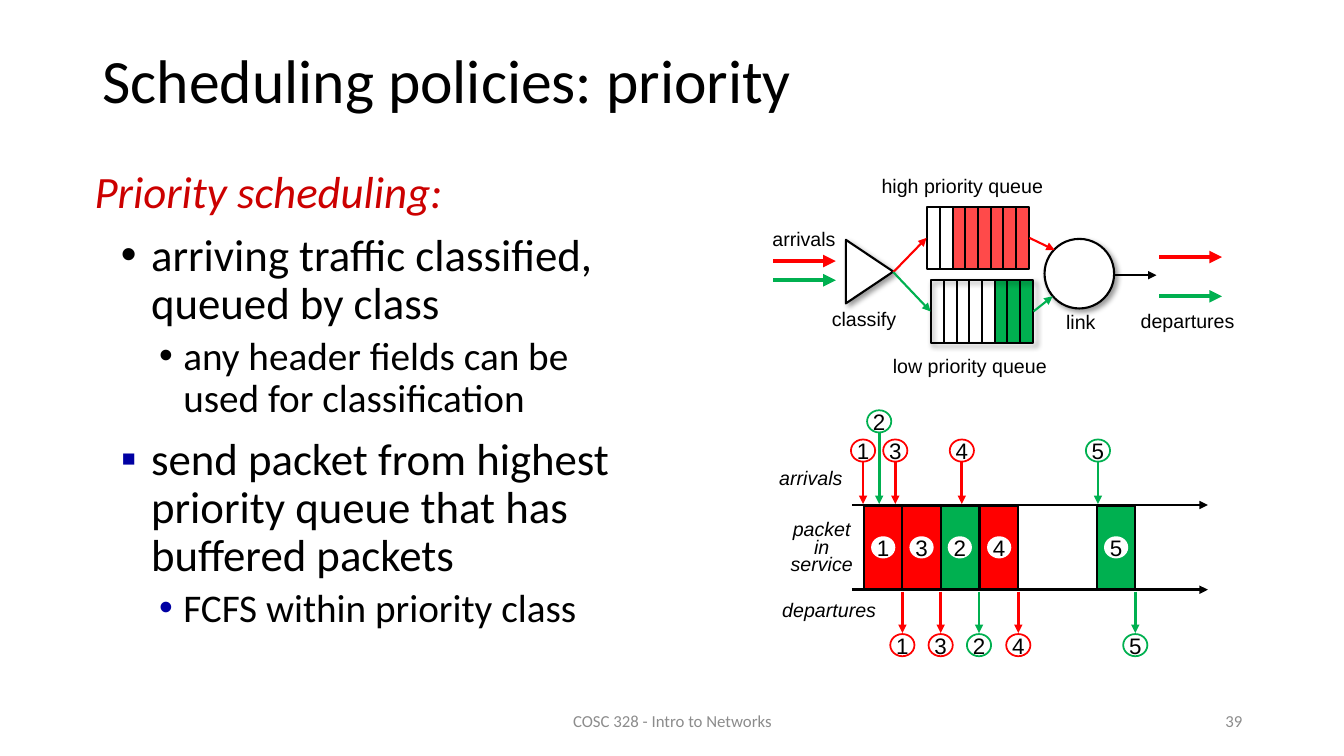
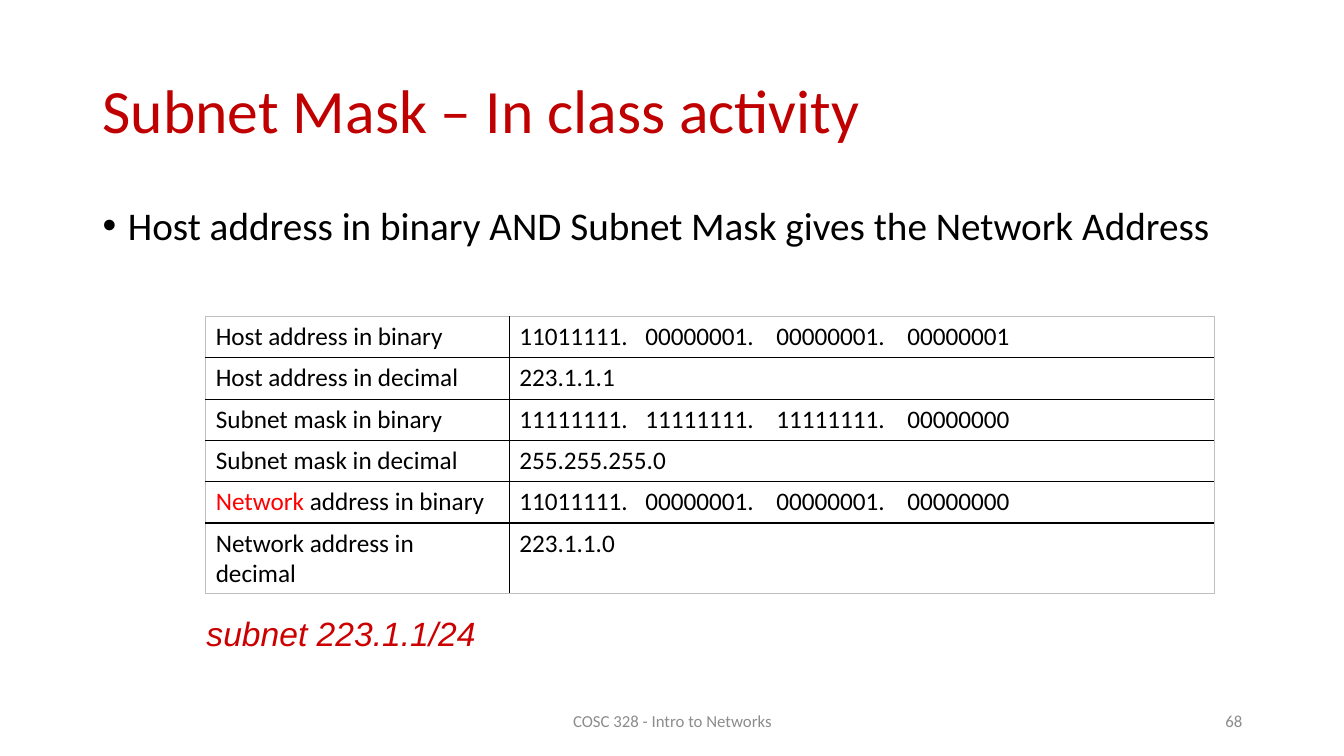
from dataclasses import dataclass

from lxml import etree
from pptx import Presentation
from pptx.dml.color import RGBColor
from pptx.enum.shapes import MSO_CONNECTOR, MSO_SHAPE
from pptx.enum.text import MSO_ANCHOR, PP_ALIGN
from pptx.oxml.ns import qn
from pptx.util import Pt

PX = 9144  # 100 px to the inch
STRAIGHT = MSO_CONNECTOR.STRAIGHT
RECTANGLE, OVAL, TRIANGLE = MSO_SHAPE.RECTANGLE, MSO_SHAPE.OVAL, MSO_SHAPE.ISOSCELES_TRIANGLE
CENTER, RIGHT, MIDDLE = PP_ALIGN.CENTER, PP_ALIGN.RIGHT, MSO_ANCHOR.MIDDLE
LEFT_SIDE, RIGHT_SIDE = 1, 3


@dataclass(frozen=True)
class Theme:
    black: str = "000000"
    white: str = "FFFFFF"
    red: str = "FF0000"
    green: str = "00B050"
    title_red: str = "C00000"
    accent: str = "CC0000"
    blue: str = "0000A3"
    gray: str = "8C8C8C"
    edge: str = "BFBFBF"
    heading: str = "Calibri"
    plain: str = "Arial"
    title_size: int = 44
    body_size: int = 32
    detail_size: int = 28
    note_size: int = 24
    cell_size: int = 18
    packet_size: int = 16
    label_size: int = 14
    footer_size: int = 12


theme = Theme()
body = {"name": theme.heading, "size": Pt(theme.body_size)}
detail = {"name": theme.heading, "size": Pt(theme.detail_size)}
label = {"name": theme.plain, "size": Pt(theme.label_size)}
italic_label = {**label, "italic": True}
centered = {"alignment": CENTER}
dense = {"line_spacing": 0.9}


def write(frame, paragraphs, color=theme.black, **frame_format):
    """Fill a text frame with (content, font format, paragraph format) items."""
    for name, value in {"word_wrap": True, **frame_format}.items():
        setattr(frame, name, value)
    for index, (content, font_format, layout) in enumerate(paragraphs):
        para = frame.add_paragraph() if index else frame.paragraphs[0]
        for name in ("alignment", "level", "line_spacing", "space_before"):
            if name in layout:
                setattr(para, name, layout[name])
        properties = para._p.get_or_add_pPr()
        if "indent" in layout:
            for name, value in zip(("marL", "indent"), layout["indent"]):
                properties.set(name, str(value * PX))
        if "bullet" in layout:
            bullet_color = etree.SubElement(properties, qn("a:buClr"))
            etree.SubElement(bullet_color, qn("a:srgbClr"), val=layout.get("bullet_color", theme.black))
            etree.SubElement(properties, qn("a:buFont"), typeface=theme.plain)
            etree.SubElement(properties, qn("a:buChar"), char=layout["bullet"])
        if "tabs" in layout:
            stops = etree.SubElement(properties, qn("a:tabLst"))
            for stop in layout["tabs"]:
                etree.SubElement(stops, qn("a:tab"), pos=str(stop * PX), algn="l")
        spans = [(content, color)] if isinstance(content, str) else content
        for text, span_color in spans:
            span = para.add_run()
            span.text = text
            for name, value in font_format.items():
                setattr(span.font, name, value)
            span.font.color.rgb = RGBColor.from_string(span_color)


def add_text(page, place, paragraphs, **options):
    box = page.shapes.add_textbox(*[value * PX for value in place])
    write(box.text_frame, paragraphs, **options)


deck = Presentation()
deck.slide_width, deck.slide_height = 1333 * PX, 750 * PX

# Titles and footers
pages = []
for title, color, place, number in [
    ("Scheduling policies: priority", theme.black, (92, 34, 1150, 98), "39"),
    ("Subnet Mask – In class activity", theme.title_red, (92, 40, 1150, 145), "68"),
]:
    page = deck.slides.add_slide(deck.slide_layouts[6])
    pages.append(page)
    title_font = {"name": theme.heading, "size": Pt(theme.title_size)}
    add_text(page, place, [(title, title_font, dense)], color=color, vertical_anchor=MIDDLE)
    footer_font = {"name": theme.heading, "size": Pt(theme.footer_size)}
    for text, spot, alignment in [
        ("COSC 328 - Intro to Networks", (442, 695, 450, 40), CENTER),
        (number, (942, 695, 300, 40), RIGHT),
    ]:
        add_text(page, spot, [(text, footer_font, {"alignment": alignment})],
                 color=theme.gray, vertical_anchor=MIDDLE)
scheduling, subnet = pages

# Scheduling: explanation
point = {**dense, "space_before": Pt(10), "indent": (56, -30), "bullet": "•"}
subpoint = {**dense, "space_before": Pt(5), "indent": (88, -24), "bullet": "•", "level": 1}
add_text(scheduling, (84, 164, 556, 293), [
    ([("Priority scheduling:", theme.accent)], {**body, "italic": True}, {**dense, "indent": (25, -25)}),
    ("arriving traffic classified, queued by class", body, point),
    ("any header fields can be used for classification", detail, subpoint),
])
first_point = {**dense, "indent": (56, -30), "bullet": "▪", "bullet_color": theme.blue}
add_text(scheduling, (84, 428, 556, 215), [
    ("send packet from highest priority queue that has buffered packets", body, first_point),
    ("FCFS within priority class", detail, {**subpoint, "bullet_color": theme.blue}),
])

# Scheduling: shapes as (name, kind, place, fill, line, line width, extras)
shapes = []
# Lines as (start, end, color, width, arrow, joined start, joined end)
lines = []

# Queues with eight slots each
SLOTS, QUEUE_WIDTH, QUEUE_HEIGHT = 8, 102, 62
for name, left, top, first_filled, color, extras, shadow in [
    ("low", 923, 278, 5, theme.green, {}, {"shadow": True}),
    ("high", 919, 205, 2, theme.red, {"alpha": 71}, {}),
]:
    edges = [left + round(QUEUE_WIDTH * slot / SLOTS) for slot in range(SLOTS)]
    filled_left = edges[first_filled]
    filled = (filled_left, top, left + QUEUE_WIDTH - filled_left, QUEUE_HEIGHT)
    shapes.append((f"{name} packets", RECTANGLE, filled, color, None, 0, extras))
    shapes.append((name, RECTANGLE, (left, top, QUEUE_WIDTH, QUEUE_HEIGHT), None, theme.black, 1.5, shadow))
    for x in edges[1:]:
        lines.append(((x, top), (x, top + QUEUE_HEIGHT), theme.black, 1.5, False, None, None))

# Classifier, link and their arrows
shapes += [
    ("classifier", TRIANGLE, (831, 246, 63, 47), theme.white, theme.black, 1.5,
     {"shadow": True, "rotation": 90}),
    ("link", OVAL, (1036, 237, 69, 69), theme.white, theme.black, 1.5, {"shadow": True}),
]
lines += [
    ((886, 270), (919, 236), theme.red, 1.5, True, None, ("high", LEFT_SIDE)),
    ((886, 270), (923, 309), theme.green, 1.5, True, None, ("low", LEFT_SIDE)),
    ((1021, 236), (1046, 248), theme.red, 1.5, True, ("high", RIGHT_SIDE), None),
    ((1025, 309), (1044, 294), theme.green, 1.5, True, ("low", RIGHT_SIDE), None),
    ((1105, 273), (1147, 273), theme.black, 1.5, True, None, None),
]
for left, red_y, green_y in [(767, 259, 278), (1150, 255, 294)]:
    for y, color in [(red_y, theme.red), (green_y, theme.green)]:
        lines.append(((left, y), (left + 62, y), color, 3, True, None, None))

# Timeline axes, packets in service and departures
ARRIVAL_Y, DEPARTURE_Y, PACKET_WIDTH = 501, 585, 38
BADGE_WIDTH, BADGE_HEIGHT, DEPARTED_TOP = 24, 22, 629
for y in (ARRIVAL_Y, DEPARTURE_Y):
    lines.append(((845, y), (1198, y), theme.black, 2, True, None, None))
badges = []  # (number, center x, top, line color)
for number, left, color in [
    ("1", 857, theme.red), ("3", 895, theme.red), ("2", 933, theme.green),
    ("4", 972, theme.red), ("5", 1088, theme.green),
]:
    right = left + PACKET_WIDTH
    shapes.append((f"packet {number}", RECTANGLE, (left, 502, PACKET_WIDTH, 83), color, theme.black, 1.25, {}))
    badges.append((number, left + PACKET_WIDTH // 2, 532, None))
    badges.append((number, right, DEPARTED_TOP, color))
    lines.append(((right, DEPARTURE_Y + 2), (right, DEPARTED_TOP - 1), color, 2, True, None, None))

# Arrivals
for number, x, top, color in [
    ("1", 856, 436, theme.red), ("3", 888, 436, theme.red), ("4", 954, 436, theme.red),
    ("2", 872, 407, theme.green), ("5", 1089, 436, theme.green),
]:
    badges.append((number, x, top, color))
    lines.append(((x, top + BADGE_HEIGHT), (x, ARRIVAL_Y - 1), color, 2, True, None, None))
for number, x, top, color in badges:
    place = (x - BADGE_WIDTH // 2, top, BADGE_WIDTH, BADGE_HEIGHT)
    shapes.append((f"badge {x} {top}", OVAL, place, theme.white, color, 1.25, {"text": number}))

# Draw the shapes
drawn = {}
for name, kind, place, fill, line, width, extras in shapes:
    shape = scheduling.shapes.add_shape(kind, *[value * PX for value in place])
    shape.shadow.inherit = False
    shape.rotation = extras.get("rotation", 0)
    if fill:
        shape.fill.solid()
        shape.fill.fore_color.rgb = RGBColor.from_string(fill)
    else:
        shape.fill.background()
    if line:
        shape.line.color.rgb = RGBColor.from_string(line)
        shape.line.width = Pt(width)
    else:
        shape.line.fill.background()
    properties = shape._element.spPr
    if "alpha" in extras:
        tint = properties.find(qn("a:solidFill")).find(qn("a:srgbClr"))
        etree.SubElement(tint, qn("a:alpha"), val=str(extras["alpha"] * 1000))
    if "shadow" in extras:
        cast = etree.SubElement(properties.find(qn("a:effectLst")), qn("a:outerShdw"),
                                blurRad=str(Pt(4)), dist=str(Pt(3)), dir="2700000", rotWithShape="0")
        tint = etree.SubElement(cast, qn("a:srgbClr"), val=theme.black)
        etree.SubElement(tint, qn("a:alpha"), val="40000")
    if "text" in extras:
        packet_font = {"name": theme.plain, "size": Pt(theme.packet_size)}
        write(shape.text_frame, [(extras["text"], packet_font, centered)], word_wrap=False,
              vertical_anchor=MIDDLE, margin_left=0, margin_right=0, margin_top=0, margin_bottom=0)
    drawn[name] = shape

# Draw the lines
for start, end, color, width, arrow, joined_start, joined_end in lines:
    connector = scheduling.shapes.add_connector(STRAIGHT, *[value * PX for value in start + end])
    connector.line.color.rgb = RGBColor.from_string(color)
    connector.line.width = Pt(width)
    properties = connector._element.spPr
    if arrow:
        etree.SubElement(properties.find(qn("a:ln")), qn("a:tailEnd"), type="triangle")
    etree.SubElement(properties, qn("a:effectLst"))
    if joined_start:
        connector.begin_connect(drawn[joined_start[0]], joined_start[1])
    if joined_end:
        connector.end_connect(drawn[joined_end[0]], joined_end[1])

# Labels of the diagrams
for text, place, font, layout in [
    ("high priority queue", (864, 168, 181, 34), label, centered),
    ("low priority queue", (875, 346, 174, 34), label, centered),
    ("arrivals", (756, 220, 83, 34), label, centered),
    ("classify", (814, 300, 86, 34), label, centered),
    ("departures", (1121, 302, 114, 34), label, centered),
    ("link", (1047, 303, 50, 34), label, centered),
    ("arrivals", (763, 457, 88, 34), italic_label, {}),
    ("departures", (766, 588, 119, 34), italic_label, {}),
]:
    add_text(scheduling, place, [(text, font, layout)], word_wrap=False)
add_text(scheduling, (768, 513, 94, 65),
         [("packet in service", italic_label, {**centered, "line_spacing": Pt(12.8)})])

# Subnet mask: statement and result
add_text(subnet, (92, 200, 1150, 60), [
    ("Host address in binary AND Subnet Mask gives the Network Address", detail,
     {**dense, "indent": (25, -25), "bullet": "•"}),
])
note = {"name": theme.plain, "size": Pt(theme.note_size), "italic": True}
add_text(subnet, (195, 603, 290, 50), [("subnet 223.1.1/24", note, {})],
         color=theme.accent, word_wrap=False)

# Subnet mask: address table
rows = [
    ("Host address in binary", "11011111.\t00000001.\t00000001.\t00000001"),
    ("Host address in decimal", "223.1.1.1"),
    ("Subnet mask in binary", "11111111.\t11111111.\t11111111.\t00000000"),
    ("Subnet mask in decimal", "255.255.255.0"),
    ([("Network", theme.red), (" address in binary", theme.black)],
     "11011111.\t00000001.\t00000001.\t00000000"),
    ("Network address in decimal", "223.1.1.0"),
]
WIDTHS, ROW_HEIGHT = (301, 699), 41
table = subnet.shapes.add_table(
    len(rows), len(WIDTHS), 204 * PX, 314 * PX, sum(WIDTHS) * PX, len(rows) * ROW_HEIGHT * PX).table
table.first_row = table.horz_banding = False
for column, width in zip(table.columns, WIDTHS):
    column.width = width * PX
cell_font = {"name": theme.heading, "size": Pt(theme.cell_size)}
for row_index, contents in enumerate(rows):
    table.rows[row_index].height = ROW_HEIGHT * PX
    for column_index, content in enumerate(contents):
        cell = table.cell(row_index, column_index)
        layout = {"tabs": (125, 255, 385)} if column_index else {}
        write(cell.text_frame, [(content, cell_font, layout)])
        outer_sides = {
            "lnL": column_index == 0, "lnR": column_index == len(WIDTHS) - 1,
            "lnT": row_index == 0, "lnB": row_index == len(rows) - 1,
        }
        properties = cell._tc.get_or_add_tcPr()
        for side, outer in outer_sides.items():
            border = etree.SubElement(properties, qn(f"a:{side}"), w=str(Pt(0.5 if outer else 1)))
            paint = etree.SubElement(border, qn("a:solidFill"))
            etree.SubElement(paint, qn("a:srgbClr"), val=theme.edge if outer else theme.black)
        cell.fill.background()

deck.save("out.pptx")
